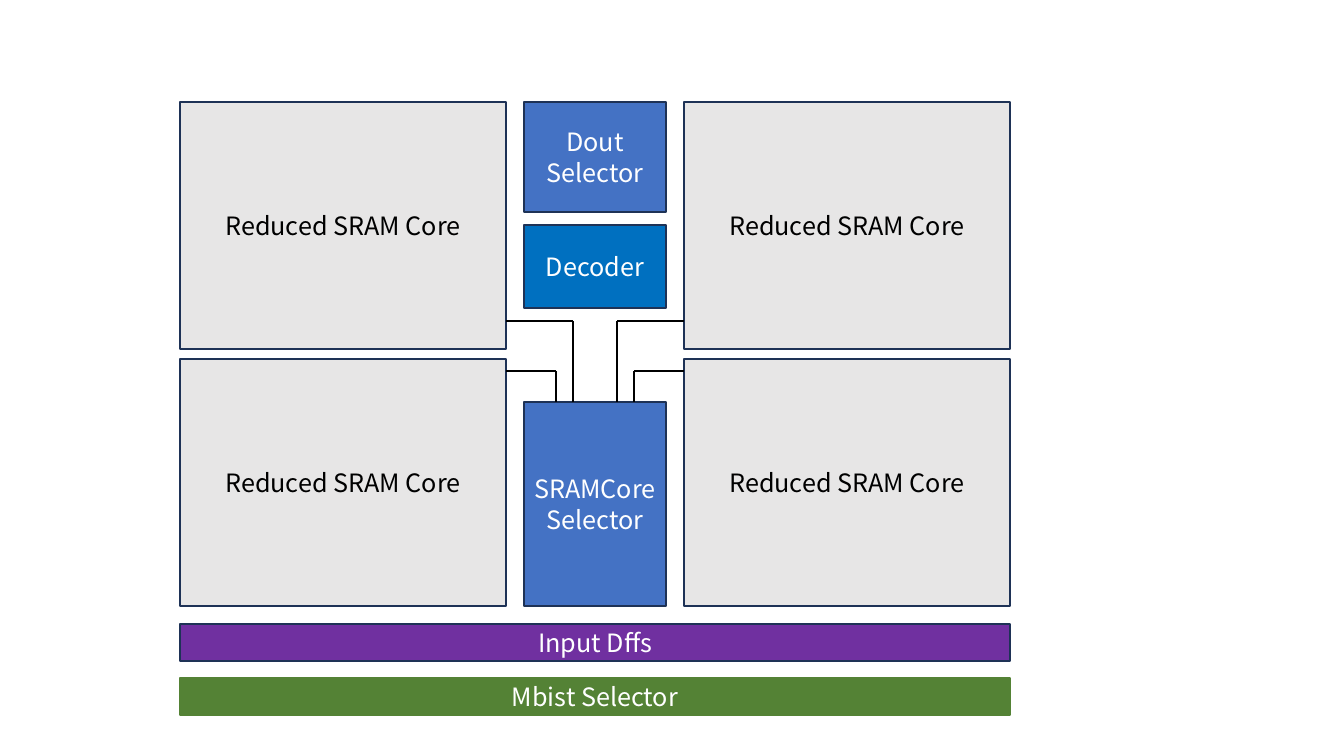
import pptx
import pptx.dml.color
import pptx.enum.shapes
import pptx.enum.text
import pptx.util
import lxml.etree

EMU_PER_PX = 914400 / 100.8
FONT = "Noto Sans CJK SC"
NAVY, BLUE, WHITE, BLACK = "1E3256", "4472C4", "FFFFFF", "000000"


def px(length):
    return pptx.util.Emu(round(length * EMU_PER_PX))


def color(hex_string):
    return pptx.dml.color.RGBColor.from_string(hex_string)


def apply(target, formats):
    for attribute, value in formats.items():
        setattr(target, attribute, value)


def draw_block(slide, box, lines, fill, outline=NAVY, ink=WHITE):
    block = slide.shapes.add_shape(
        pptx.enum.shapes.MSO_SHAPE.RECTANGLE, *map(px, box))
    block.shadow.inherit = False
    block.fill.solid()
    block.fill.fore_color.rgb = color(fill)
    block.line.color.rgb = color(outline)
    block.line.width = pptx.util.Pt(1)
    label = block.text_frame
    apply(label, {"word_wrap": True,
                  "vertical_anchor": pptx.enum.text.MSO_ANCHOR.MIDDLE})
    label.text = "\n".join(lines)
    for paragraph in label.paragraphs:
        paragraph.alignment = pptx.enum.text.PP_ALIGN.CENTER
        apply(paragraph.font, {"name": FONT, "size": pptx.util.Pt(18)})
        paragraph.font.color.rgb = color(ink)


def draw_wire(slide, start, end):
    wire = slide.shapes.add_connector(
        pptx.enum.shapes.MSO_CONNECTOR.STRAIGHT, *map(px, start + end))
    wire.line.color.rgb = color(BLACK)
    wire.line.width = pptx.util.Pt(1)
    lxml.etree.SubElement(wire.element.spPr, pptx.oxml.ns.qn("a:effectLst"))


def draw_cores(slide, box):
    left, top, width, height = box
    core_width, core_height = 326, 247
    for core_top in (top, top + height - core_height):
        for core_left in (left, left + width - core_width):
            draw_block(slide, (core_left, core_top, core_width, core_height),
                       ["Reduced SRAM Core"], "E7E6E6", ink=BLACK)


def draw_control_column(slide, box):
    left, top, width, height = box
    selector_top = top + 300
    draw_block(slide, (left, selector_top, width, height - 300),
               ["SRAMCore", "Selector"], BLUE)
    draw_block(slide, (left, top, width, 110), ["Dout", "Selector"], BLUE)
    draw_block(slide, (left, top + 123, width, 83), ["Decoder"], "0070C0")
    center = left + width // 2
    core_gap = 89
    for side in (-1, 1):
        for drop, offset in ((269, 39), (219, 22)):
            corner = (center + side * offset, top + drop)
            draw_wire(slide, (center + side * core_gap, top + drop), corner)
            draw_wire(slide, corner, (corner[0], selector_top))


def draw_bars(slide, box):
    left, top, width, height = box
    bar_height = 37
    draw_block(slide, (left, top, width, bar_height), ["Input Dffs"], "7030A0")
    draw_block(slide, (left, top + height - bar_height, width, bar_height),
               ["Mbist Selector"], "548235", outline="548235")


def main():
    presentation = pptx.Presentation()
    apply(presentation, {"slide_width": px(1344), "slide_height": px(756)})
    slide = presentation.slides.add_slide(presentation.slide_layouts[6])
    draw_cores(slide, (180, 102, 830, 504))
    draw_bars(slide, (180, 624, 830, 91))
    draw_control_column(slide, (524, 102, 142, 504))
    presentation.save("out.pptx")


if __name__ == "__main__":
    main()
